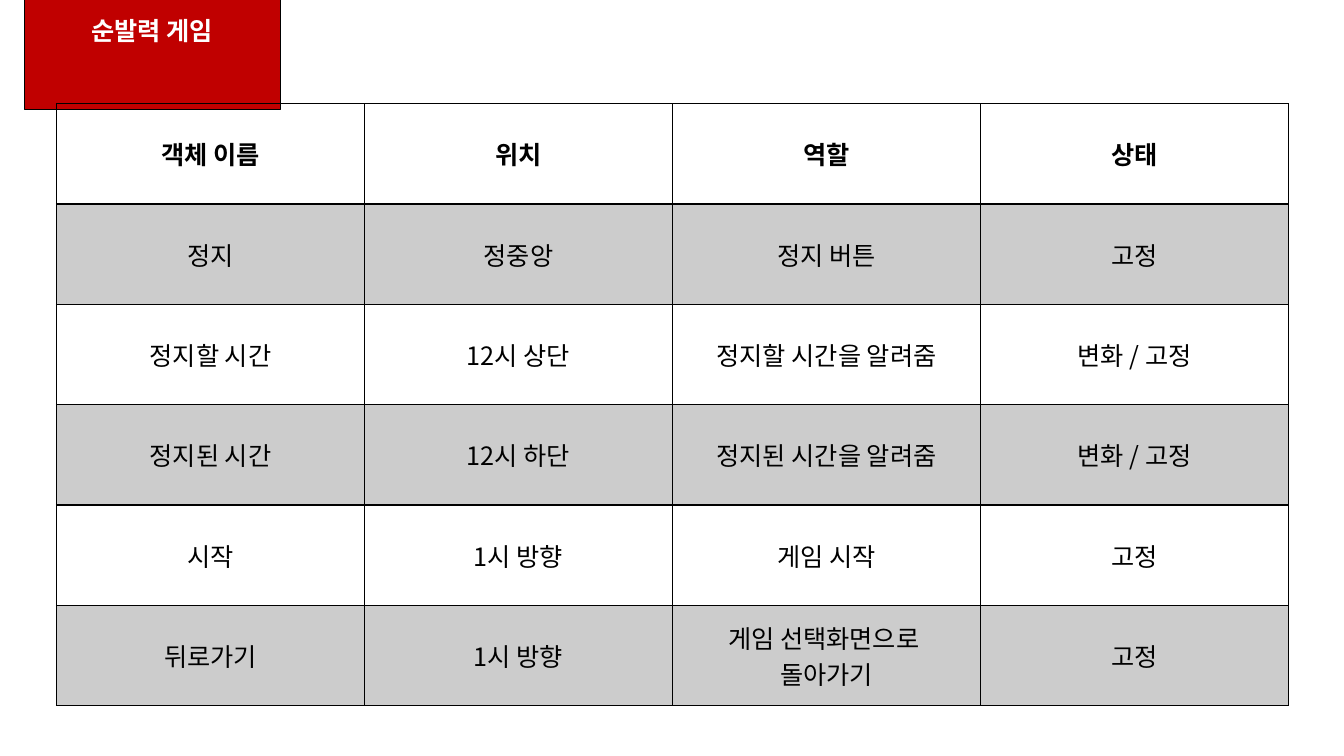
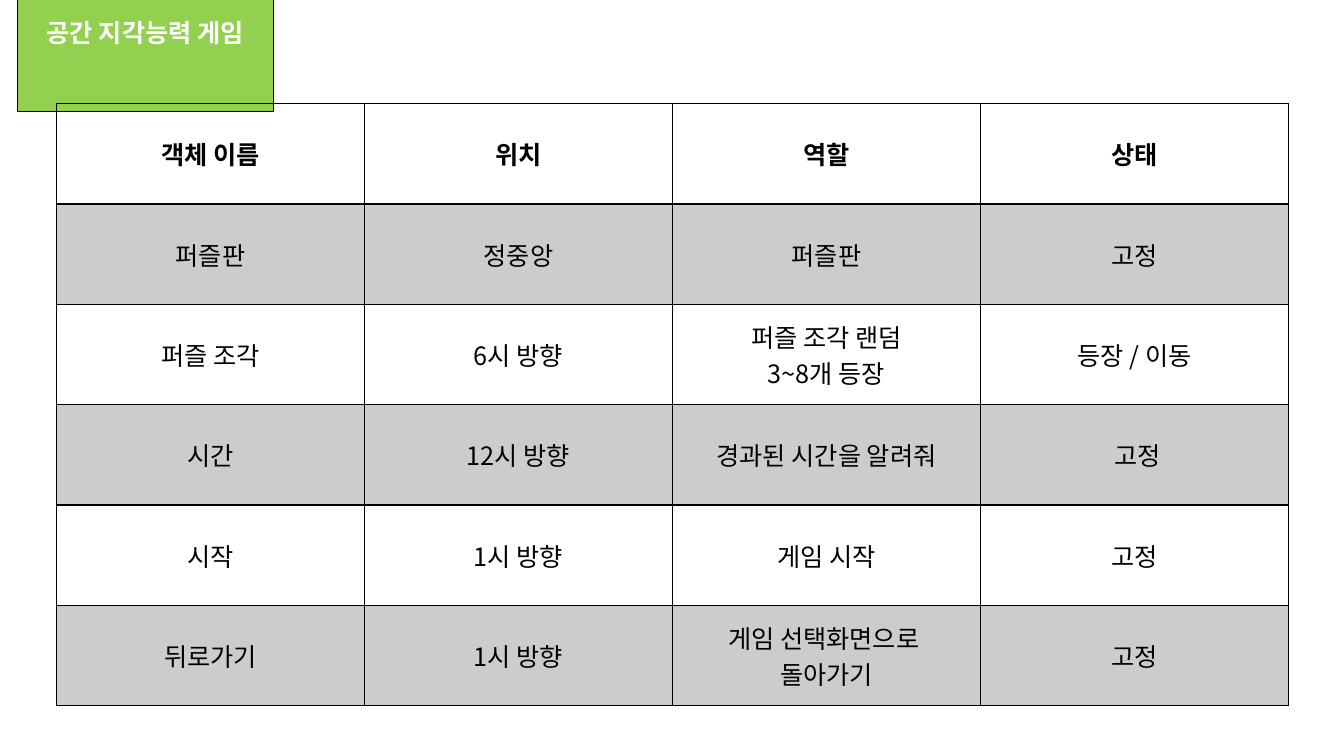
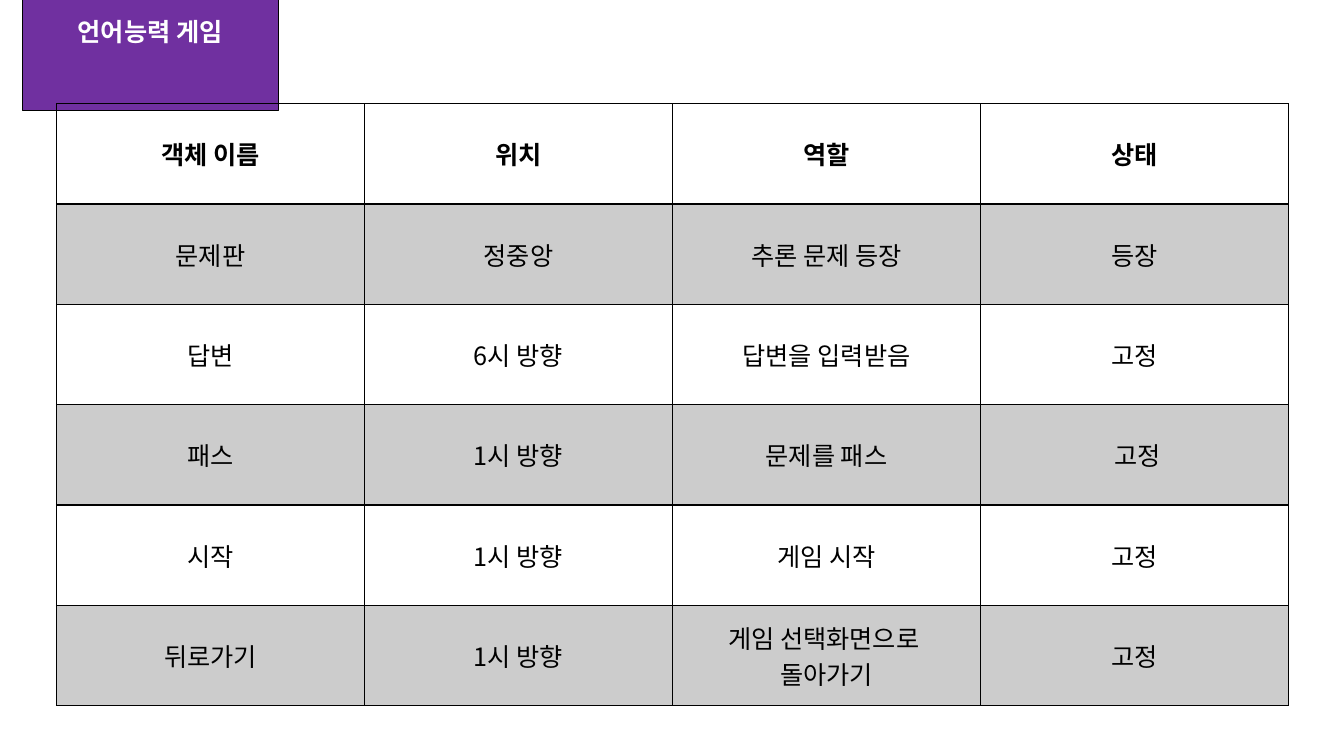
from lxml.etree import SubElement
from pptx import Presentation
from pptx.dml.color import RGBColor
from pptx.enum.text import MSO_ANCHOR as Anchor, MSO_AUTO_SIZE as AutoSize, PP_ALIGN as Align
from pptx.oxml.ns import qn
from pptx.util import Inches, Pt

COLORS = {
    "black": "000000",
    "white": "FFFFFF",
    "red": "C00000",
    "green": "92D050",
    "purple": "7030A0",
}
FONT = "Noto Sans CJK KR"
TITLE_FORMAT = {"size": Pt(18), "name": FONT, "bold": True}
BODY_FORMAT = {"size": Pt(18), "name": FONT, "bold": False}
TITLE_FRAME = {
    "word_wrap": True,
    "vertical_anchor": Anchor.MIDDLE,
    "auto_size": AutoSize.SHAPE_TO_FIT_TEXT,
}
BAND_OPACITY = 20
HEADER = ["객체 이름", "위치", "역할", "상태"]
CLOSING_ROWS = [
    ["시작", "1시 방향", "게임 시작", "고정"],
    ["뒤로가기", "1시 방향", "게임 선택화면으로 \n돌아가기", "고정"],
]
GAMES = [
    {
        "title": "순발력 게임",
        "color": "red",
        "position": (0.24, 0.1),
        "rows": [
            ["정지", "정중앙", "정지 버튼", "고정"],
            ["정지할 시간", "12시 상단", "정지할 시간을 알려줌", "변화 / 고정"],
            ["정지된 시간", "12시 하단", "정지된 시간을 알려줌", "변화 / 고정"],
        ],
    },
    {
        "title": "공간 지각능력 게임",
        "color": "green",
        "position": (0.17, 0.12),
        "rows": [
            ["퍼즐판", "정중앙", "퍼즐판", "고정"],
            ["퍼즐 조각", "6시 방향", "퍼즐 조각 랜덤\n3~8개 등장", "등장 / 이동"],
            ["시간", "12시 방향", "경과된 시간을 알려줘", " 고정"],
        ],
    },
    {
        "title": "언어능력 게임",
        "color": "purple",
        "position": (0.22, 0.11),
        "rows": [
            ["문제판", "정중앙", "추론 문제 등장", "등장"],
            ["답변", "6시 방향", "답변을 입력받음", "고정"],
            ["패스", "1시 방향", "문제를 패스", " 고정"],
        ],
    },
]


def color(name):
    return RGBColor.from_string(COLORS[name])


def apply(target, values):
    for name, value in values.items():
        setattr(target, name, value)


def write_text(text_frame, text, font_format, color_name):
    text_frame.text = text
    for paragraph in text_frame.paragraphs:
        paragraph.alignment = Align.CENTER
        for run in paragraph.runs:
            apply(run.font, font_format)
            run.font.color.rgb = color(color_name)
            SubElement(run.font._element, qn("a:ea"), typeface=FONT)


def add_title(slide, game):
    title = slide.shapes.title
    left, top = game["position"]
    apply(title, {
        "left": Inches(left),
        "top": Inches(top),
        "width": Inches(2.54),
        "height": Inches(0.4),
    })
    title.fill.solid()
    title.fill.fore_color.rgb = color(game["color"])
    title.line.color.rgb = color("black")
    title.line.width = Pt(0.75)
    write_text(title.text_frame, game["title"], TITLE_FORMAT, "white")
    apply(title.text_frame, TITLE_FRAME)


def add_borders(cell, row_index):
    widths = {
        "a:lnL": 1,
        "a:lnR": 1,
        "a:lnT": 2 if row_index == 1 else 1,
        "a:lnB": 2 if row_index == 0 else 1,
    }
    properties = cell._tc.get_or_add_tcPr()
    for side, width in widths.items():
        line = SubElement(properties, qn(side), w=str(Pt(width)))
        fill = SubElement(line, qn("a:solidFill"))
        SubElement(fill, qn("a:srgbClr"), val=COLORS["black"])


def fill_band(cell, banded):
    if not banded:
        cell.fill.background()
        return
    cell.fill.solid()
    cell.fill.fore_color.rgb = color("black")
    shade = cell._tc.tcPr.find(qn("a:solidFill")).find(qn("a:srgbClr"))
    SubElement(shade, qn("a:alpha"), val=str(BAND_OPACITY * 1000))


def add_object_table(slide, rows):
    table = slide.shapes.add_table(
        len(rows), len(HEADER), Inches(0.56), Inches(1.03), Inches(12.22), Inches(5.97)
    ).table
    table.horz_banding = False
    for row_index, row in enumerate(rows):
        font_format = TITLE_FORMAT if row_index == 0 else BODY_FORMAT
        for column_index, text in enumerate(row):
            cell = table.cell(row_index, column_index)
            cell.vertical_anchor = Anchor.MIDDLE
            add_borders(cell, row_index)
            fill_band(cell, row_index % 2 == 1)
            write_text(cell.text_frame, text, font_format, "black")


def main():
    presentation = Presentation()
    presentation.slide_width = Inches(13.33)
    presentation.slide_height = Inches(7.5)
    title_only = presentation.slide_layouts.get_by_name("Title Only")
    for game in GAMES:
        slide = presentation.slides.add_slide(title_only)
        add_title(slide, game)
        add_object_table(slide, [HEADER, *game["rows"], *CLOSING_ROWS])
    presentation.save("out.pptx")


if __name__ == "__main__":
    main()
